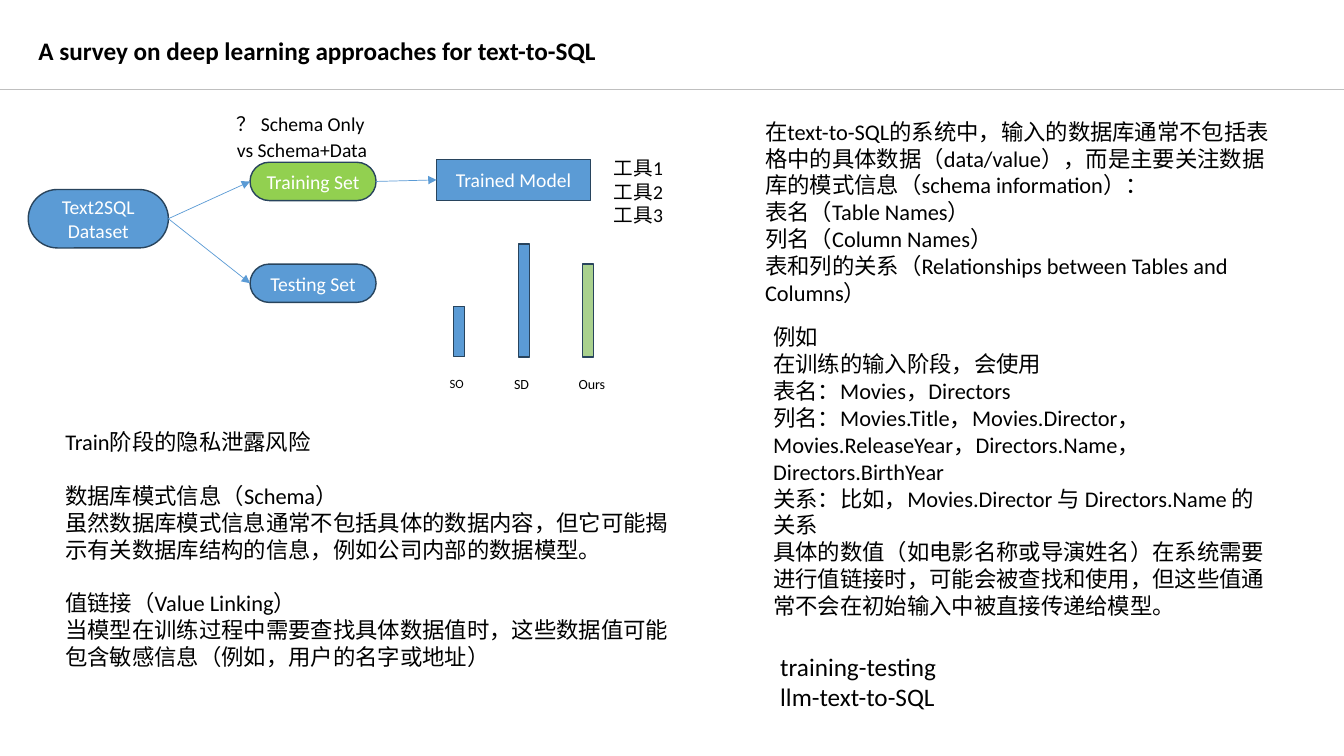
from lxml.etree import SubElement
from pptx import Presentation
from pptx.dml.color import RGBColor
from pptx.enum.shapes import MSO_CONNECTOR, MSO_SHAPE
from pptx.enum.text import MSO_ANCHOR, MSO_AUTO_SIZE, PP_ALIGN
from pptx.oxml.ns import qn
from pptx.util import Pt

PX = 9144  # EMU per px, 100 px to the inch


class Theme:
    font = "Calibri"
    black = RGBColor.from_string("000000")
    white = RGBColor.from_string("FFFFFF")
    blue = RGBColor.from_string("5B9BD5")
    green = RGBColor.from_string("92D050")
    pale_green = RGBColor.from_string("A9D18E")
    outline = RGBColor.from_string("28445D")
    rule = RGBColor.from_string("BFBFBF")
    title, body, node, label, small_label = 18, 16, 14, 10, 9


def write(shape, lines, size=Theme.body, color=Theme.black, bold=False,
          align=PP_ALIGN.LEFT, anchor=MSO_ANCHOR.TOP, spacing=None, section_starts=()):
    """Fill the shape with one paragraph per line; section_starts get a line of space before."""
    frame = shape.text_frame
    frame.word_wrap = True
    frame.auto_size = MSO_AUTO_SIZE.NONE
    frame.vertical_anchor = anchor
    frame.text = "\n".join(lines)
    for index, paragraph in enumerate(frame.paragraphs):
        paragraph.alignment = align
        paragraph.line_spacing = spacing
        if index in section_starts:
            paragraph.space_before = Pt(size * 1.2)
        font = paragraph.font
        font.name, font.size, font.bold = Theme.font, Pt(size), bold
        font.color.rgb = color


def draw_line(start, end, color=Theme.blue, arrow=True):
    line = slide.shapes.add_connector(MSO_CONNECTOR.STRAIGHT, *(v * PX for v in start + end))
    line.line.color.rgb = color
    line.line.width = Pt(0.5)
    if arrow:
        SubElement(line.line._get_or_add_ln(), qn("a:tailEnd"), type="triangle")
    SubElement(line._element.spPr, qn("a:effectLst"))
    return line


presentation = Presentation()
presentation.slide_width, presentation.slide_height = 1333 * PX, 750 * PX
slide = presentation.slides.add_slide(presentation.slide_layouts[5])

# Heading
draw_line((0, 89), (1333, 89), color=Theme.rule, arrow=False)
title = slide.shapes.title
title.left, title.top, title.width, title.height = (v * PX for v in (28, 30, 615, 40))
write(title, ["A survey on deep learning approaches for text-to-SQL"],
      size=Theme.title, bold=True, align=PP_ALIGN.JUSTIFY)

# Pipeline
stages = {}
for name, kind, fill, box in [
    ("Text2SQL Dataset", MSO_SHAPE.ROUNDED_RECTANGLE, Theme.blue, (28, 188, 139, 58)),
    ("Training Set", MSO_SHAPE.ROUNDED_RECTANGLE, Theme.green, (248, 161, 125, 38)),
    ("Testing Set", MSO_SHAPE.ROUNDED_RECTANGLE, Theme.blue, (248, 262, 125, 38)),
    ("Trained Model", MSO_SHAPE.RECTANGLE, Theme.blue, (433, 158, 153, 41)),
]:
    stage = slide.shapes.add_shape(kind, *(v * PX for v in box))
    if kind == MSO_SHAPE.ROUNDED_RECTANGLE:
        stage.adjustments[0] = 0.5
    stage.shadow.inherit = False
    stage.fill.solid()
    stage.fill.fore_color.rgb = fill
    stage.line.color.rgb = Theme.outline
    stage.line.width = Pt(1)
    write(stage, [name], size=Theme.node, color=Theme.white,
          align=PP_ALIGN.CENTER, anchor=MSO_ANCHOR.MIDDLE)
    stages[name] = stage

LEFT_SITE, RIGHT_SITE = 1, 3
for source, target in [("Text2SQL Dataset", "Training Set"),
                       ("Text2SQL Dataset", "Testing Set"),
                       ("Training Set", "Trained Model")]:
    arrow = draw_line((0, 0), (1, 1))
    arrow.begin_connect(stages[source], RIGHT_SITE)
    arrow.end_connect(stages[target], LEFT_SITE)

# Bars on a shared baseline, with their labels
BASELINE, BAR_WIDTH, FIRST_BAR, BAR_STEP = 354, 11, 450, 64
bars = [("SO", 50, Theme.blue, Theme.small_label, 39),
        ("SD", 112, Theme.blue, Theme.label, 39),
        ("Ours", 92, Theme.pale_green, Theme.label, 56)]
for index, (method, height, fill, size, label_width) in enumerate(bars):
    left = FIRST_BAR + index * BAR_STEP
    bar = slide.shapes.add_shape(MSO_SHAPE.RECTANGLE, left * PX, (BASELINE - height) * PX,
                                 BAR_WIDTH * PX, height * PX)
    bar.shadow.inherit = False
    bar.fill.solid()
    bar.fill.fore_color.rgb = fill
    bar.line.color.rgb = Theme.outline
    bar.line.width = Pt(1)
    method_label = slide.shapes.add_textbox((left - 14) * PX, 368 * PX, label_width * PX, 27 * PX)
    write(method_label, [method], size=size)

# Notes around the pipeline
for box, lines, style in [
    ((225, 104, 158, 54), ["？ Schema Only vs Schema+Data"],
     {"size": Theme.node, "spacing": 1.1}),
    ((599, 150, 81, 78), [f"工具{number}" for number in (1, 2, 3)], {"size": Theme.node}),
    ((749, 112, 523, 198), [
        "在text-to-SQL的系统中，输入的数据库通常不包括表格中的具体数据（data/value），"
        "而是主要关注数据库的模式信息（schema information）：",
        "表名（Table Names）",
        "列名（Column Names）",
        "表和列的关系（Relationships between Tables and Columns）",
    ], {}),
    ((757, 316, 509, 306), [
        "例如",
        "在训练的输入阶段，会使用",
        "表名：Movies，Directors",
        "列名：Movies.Title，Movies.Director，Movies.ReleaseYear，Directors.Name，"
        "Directors.BirthYear",
        "关系：比如，Movies.Director 与 Directors.Name 的关系",
        "具体的数值（如电影名称或导演姓名）在系统需要进行值链接时，可能会被查找和使用，"
        "但这些值通常不会在初始输入中被直接传递给模型。",
    ], {}),
    ((55, 420, 630, 276), [
        "Train阶段的隐私泄露风险",
        "数据库模式信息（Schema）",
        "虽然数据库模式信息通常不包括具体的数据内容，但它可能揭示有关数据库结构的信息，"
        "例如公司内部的数据模型。",
        "值链接（Value Linking）",
        "当模型在训练过程中需要查找具体数据值时，这些数据值可能包含敏感信息"
        "（例如，用户的名字或地址）",
    ], {"section_starts": (1, 3)}),
    ((764, 641, 191, 71), ["training-testing", "llm-text-to-SQL"], {"size": Theme.title}),
]:
    note = slide.shapes.add_textbox(*(v * PX for v in box))
    write(note, lines, **style)

presentation.save("out.pptx")
